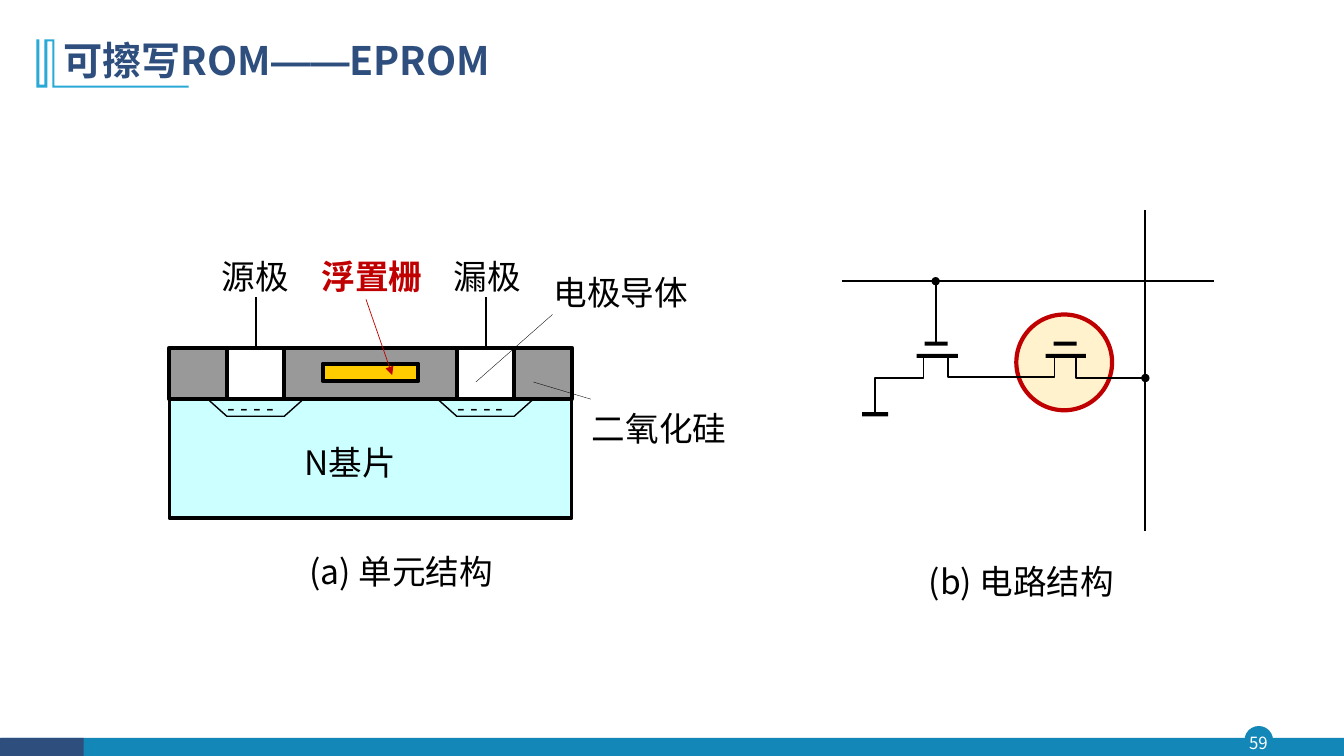
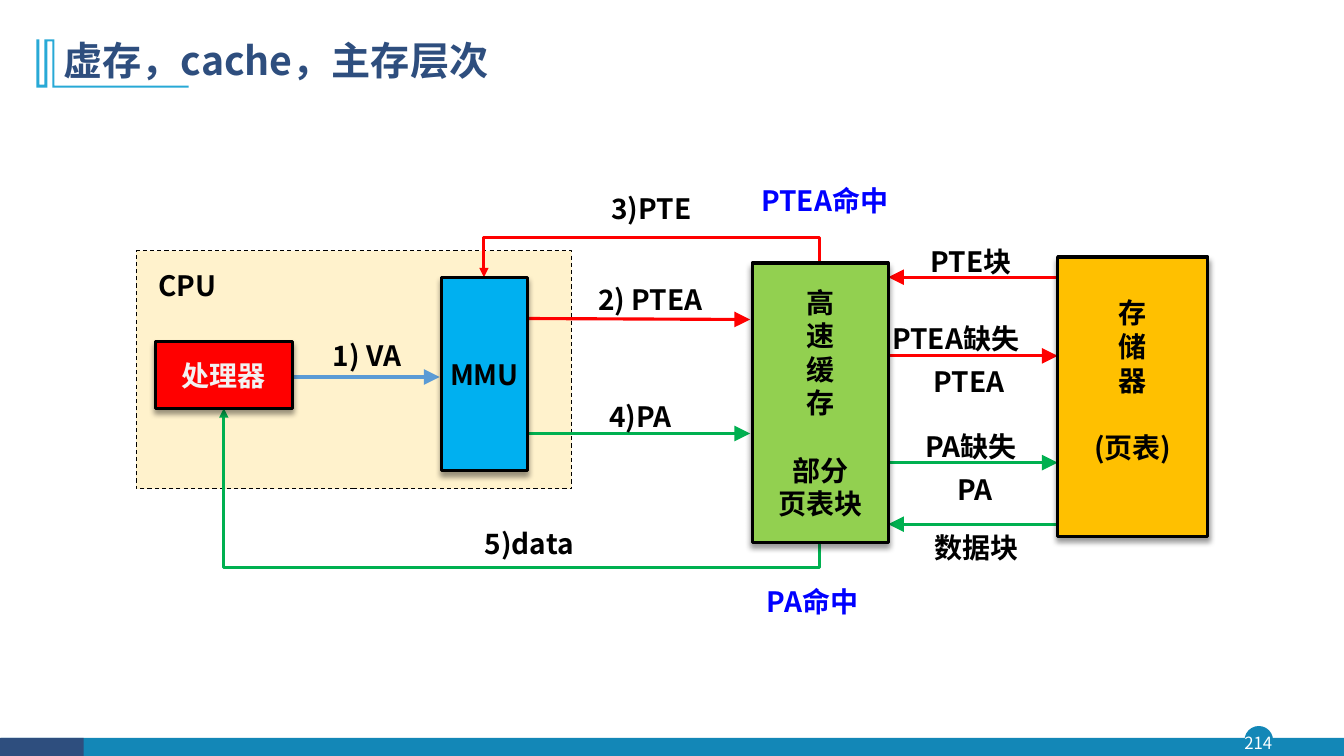
from dataclasses import dataclass

from lxml.etree import SubElement
from pptx import Presentation
from pptx.dml.color import RGBColor
from pptx.enum.dml import MSO_LINE
from pptx.enum.shapes import MSO_CONNECTOR, MSO_SHAPE
from pptx.enum.text import MSO_ANCHOR as Anchor, PP_ALIGN as Align
from pptx.oxml.ns import qn
from pptx.util import Emu, Pt

PX = 9144
SLIDE_SIZE = (1333, 750)


@dataclass(frozen=True)
class Theme:
    font: str = "Noto Sans CJK SC"
    dash_font: str = "Arial"
    navy: str = "2E4E7E"
    teal: str = "1387B7"
    sky: str = "28A9D6"
    black: str = "000000"
    white: str = "FFFFFF"
    pale: str = "F2F2F2"
    cream: str = "FFF2CC"
    crimson: str = "C00000"
    substrate: str = "CCFFFF"
    oxide: str = "999999"
    gold: str = "FFCC00"
    red: str = "FF0000"
    green: str = "00B050"
    blue: str = "5B9BD5"
    hit: str = "0000FF"
    memory: str = "FFC000"
    cache: str = "92D050"
    mmu: str = "00B0F0"
    title_size: int = 28
    figure_size: int = 24
    label_size: int = 20
    mark_size: int = 16
    number_size: int = 12


T = Theme()

TITLE_BOX = (53, 28, 1150, 68)
NUMBER_BOX = (1232, 721, 32, 31)
TITLE_MARK = [(54, 39), (54, 85), (187, 85), (187, 87), (52, 87), (52, 41), (47, 41),
              (47, 87), (36, 87), (36, 39), (39, 39), (39, 84), (44, 84), (44, 39)]

EPROM_TITLE = (("可擦写ROM", T.font), ("——", T.dash_font), ("EPROM", T.font))
OXIDE_BLOCKS = [(168, 57), (282, 171), (510, 57)]
ELECTRODE_OFFSETS = (0, 228)
WELL = [(206, 396), (225, 413), (282, 413), (301, 396)]
LEADERS = [((472, 379), (548, 312)), ((529, 379), (586, 396))]
CELL_LABELS = [
    ("N基片", (301, 429, 133, 50), {}),
    ("源极", (219, 245, 95, 50), {}),
    ("漏极", (449, 245, 95, 50), {}),
    ("浮置栅", (318, 245, 152, 50), {"color": T.crimson, "bold": True}),
    ("电极导体", (548, 261, 152, 50), {}),
    ("二氧化硅", (586, 396, 152, 50), {}),
    ("(a) 单元结构", (205, 538, 285, 51), {"align": Align.RIGHT}),
    ("(b) 电路结构", (821, 547, 285, 51), {"align": Align.RIGHT}),
]
CIRCUIT_WIRES = [
    ([(835, 279), (1204, 279)], None),
    ([(1136, 527), (1136, 208)], None),
    ([(1067, 353), (1067, 375), (1136, 375)], "oval"),
    ([(940, 355), (940, 374), (1046, 374), (1046, 353)], None),
    ([(916, 353), (916, 375), (868, 375), (868, 411)], None),
]
CIRCUIT_BARS = [(855, 409, 26), (909, 351, 41), (917, 339, 23), (1037, 351, 40), (1045, 339, 23)]

FLOW_TITLE = "虚存，cache，主存层次"
FLOW_ARROWS = [
    ([(813, 538), (813, 563), (222, 563), (222, 405)], T.green),
    ([(813, 261), (813, 236), (480, 236), (480, 275)], T.red),
    ([(288, 374), (436, 374)], T.blue),
    ([(507, 430), (744, 430)], T.green),
    ([(523, 316), (744, 317)], T.red),
    ([(1049, 275), (881, 275)], T.red),
    ([(880, 353), (1049, 353)], T.red),
    ([(881, 459), (1049, 459)], T.green),
    ([(1049, 520), (881, 520)], T.green),
]
LABEL_WIDTH, LABEL_HEIGHT = 180, 35
FLOW_LABELS = [
    ("PA命中", 806, 580, T.hit), ("PTEA命中", 818, 182, T.hit),
    ("CPU", 186, 266, T.black), ("1) VA", 364, 336, T.black),
    ("2) PTEA", 645, 280, T.black), ("3)PTE", 646, 190, T.black),
    ("4)PA", 635, 396, T.black), ("5)data", 525, 522, T.black),
    ("PTE块", 963, 243, T.black), ("PTEA缺失", 948, 319, T.black),
    ("PTEA", 961, 362, T.black), ("PA缺失", 963, 426, T.black),
    ("PA", 967, 469, T.black), ("数据块", 969, 526, T.black),
]
FLOW_BLOCKS = [
    ((1049, 255, 149, 277), T.memory, T.black, ["存", "储", "器", "(页表)"], {3: 24}, 33),
    ((746, 261, 135, 277), T.cache, T.black, ["高", "速", "缓", "存", "部分", "页表块"], {4: 24}, 0),
    ((154, 339, 136, 66), T.red, T.pale, ["处理器"], {}, 0),
    ((438, 275, 85, 192), T.mmu, T.black, ["MMU"], {}, 0),
]


def px(*values):
    return [Emu(round(value * PX)) for value in values]


def rgb(color):
    return RGBColor.from_string(color)


def write(frame, lines, *, size, color=T.black, bold=False, align=Align.LEFT, spacing=None,
          anchor=Anchor.TOP, inset=0, bottom=None, gaps=None, wrap=True):
    frame.word_wrap = wrap
    frame.vertical_anchor = anchor
    frame.margin_left, frame.margin_top, frame.margin_right = px(inset, inset, inset)
    frame.margin_bottom = px(inset if bottom is None else bottom)[0]
    for index, line in enumerate(lines):
        para = frame.add_paragraph() if index else frame.paragraphs[0]
        para.alignment = align
        para.space_before = Pt((gaps or {}).get(index, 0))
        if spacing:
            para.line_spacing = spacing
        for text, face in ([(line, T.font)] if isinstance(line, str) else line):
            span = para.add_run()
            span.text = text
            font = span.font
            font.size, font.bold, font.name = Pt(size), bold, face
            font.color.rgb = rgb(color)
            SubElement(font._rPr, qn("a:ea"), typeface=face)


def add_label(page, text, box, **style):
    write(page.shapes.add_textbox(*px(*box)).text_frame, [text], **style)


def set_line(shape, color, width, tail=None, tail_size="med", dash=None):
    line = shape.line
    if not color:
        line.fill.background()
        return
    line.color.rgb = rgb(color)
    line.width = Pt(width)
    if dash:
        line.dash_style = dash
    if tail:
        SubElement(line._get_or_add_ln(), qn("a:tailEnd"), type=tail, w=tail_size, len=tail_size)


def add_block(page, box, fill, line=None, width=1, kind=MSO_SHAPE.RECTANGLE, dash=None):
    shape = page.shapes.add_shape(kind, *px(*box))
    shape.shadow.inherit = False
    shape.fill.solid()
    shape.fill.fore_color.rgb = rgb(fill)
    set_line(shape, line, width, dash=dash)
    return shape


def add_outline(page, points, closed=False):
    builder = page.shapes.build_freeform(*points[0], scale=PX)
    builder.add_line_segments(points[1:], close=closed)
    shape = builder.convert_to_shape()
    shape.shadow.inherit = False
    shape.fill.background()
    return shape


def add_wire(page, points, color=T.black, width=1.25, **ending):
    if len(points) > 2:
        shape = add_outline(page, points)
        set_line(shape, color, width, **ending)
        return
    shape = page.shapes.add_connector(MSO_CONNECTOR.STRAIGHT, *px(*points[0], *points[1]))
    set_line(shape, color, width, **ending)
    SubElement(shape._element.spPr, qn("a:effectLst"))


def drop_shadow(shape):
    effects = shape._element.spPr.find(qn("a:effectLst"))
    shadow = SubElement(effects, qn("a:outerShdw"), blurRad=str(Pt(4)), dist=str(Pt(3)),
                        dir="5400000", algn="t", rotWithShape="0")
    SubElement(SubElement(shadow, qn("a:srgbClr"), val=T.black), qn("a:alpha"), val="40000")


def decorate_layout(deck, layout):
    page = deck.slides.add_slide(layout)
    mark = add_outline(page, TITLE_MARK, closed=True)
    mark.fill.solid()
    mark.fill.fore_color.rgb = rgb(T.sky)
    set_line(mark, None, 0)
    badge = add_block(page, (1235, 721, 27, 27), T.teal, T.teal, kind=MSO_SHAPE.OVAL)
    band = add_block(page, (1, 732, 1332, 19), T.teal)
    corner = add_block(page, (0, 732, 83, 19), T.navy)
    for shape in (badge, band, corner, mark):
        layout.shapes._spTree.append(shape._element)
    return page


def start_page(page, title, number):
    heading = page.shapes.title
    heading.left, heading.top, heading.width, heading.height = px(*TITLE_BOX)
    write(heading.text_frame, [title], size=T.title_size, color=T.navy, bold=True,
          spacing=0.9, anchor=Anchor.MIDDLE, inset=10, bottom=5)
    heading.text_frame.margin_top = px(5)[0]
    add_label(page, number, NUMBER_BOX, size=T.number_size, color=T.white,
              align=Align.CENTER, anchor=Anchor.MIDDLE, wrap=False)


def draw_cell(page):
    add_block(page, (168, 396, 399, 118), T.substrate, T.black, 2.5)
    for left, width in OXIDE_BLOCKS:
        add_block(page, (left, 345, width, 51), T.oxide, T.black, 3)
    for offset in ELECTRODE_OFFSETS:
        add_wire(page, [(225 + offset, 345), (288 + offset, 345)], width=3)
        add_wire(page, [(254 + offset, 295), (254 + offset, 346)], width=2)
        add_wire(page, [(x + offset, y) for x, y in WELL], width=1)
        add_label(page, "- - - -", (225 + offset, 385, 76, 34), size=T.mark_size,
                  spacing=1.2, inset=1)
    for points in LEADERS:
        add_wire(page, points, width=0.25)
    add_block(page, (320, 361, 95, 17), T.gold, T.black, 3)
    for text, box, style in CELL_LABELS:
        add_label(page, text, box, size=T.figure_size, spacing=1.2, inset=1, **style)
    add_wire(page, [(363, 297), (389, 372)], T.crimson, 0.5, tail="triangle")


def draw_circuit(page):
    add_block(page, (1008, 312, 95, 95), T.cream, T.crimson, 3, kind=MSO_SHAPE.OVAL)
    for points, tail in CIRCUIT_WIRES:
        add_wire(page, points, tail=tail)
    add_block(page, (912, 341, 34, 12), T.white)
    for left, top, width in CIRCUIT_BARS:
        add_block(page, (left, top, width, 4), T.black)
    add_wire(page, [(928, 341), (928, 279)], tail="oval")


def draw_flow(page):
    add_block(page, (135, 249, 432, 236), T.cream, T.black, 0.75, dash=MSO_LINE.DASH)
    for points, color in FLOW_ARROWS:
        add_wire(page, points, color, 2.25, tail="triangle",
                 tail_size="lg" if len(points) == 2 else "med")
    for text, center, top, color in FLOW_LABELS:
        add_label(page, text, (center - LABEL_WIDTH / 2, top, LABEL_WIDTH, LABEL_HEIGHT),
                  size=T.label_size, color=color, bold=True, align=Align.CENTER)
    for box, fill, color, lines, gaps, bottom in FLOW_BLOCKS:
        block = add_block(page, box, fill, T.black, 2.25)
        drop_shadow(block)
        write(block.text_frame, lines, size=T.label_size, color=color, bold=True,
              align=Align.CENTER, anchor=Anchor.MIDDLE, gaps=gaps, bottom=bottom)


def main():
    deck = Presentation()
    deck.slide_width, deck.slide_height = px(*SLIDE_SIZE)
    layout = deck.slide_layouts[5]
    eprom = decorate_layout(deck, layout)
    start_page(eprom, EPROM_TITLE, "59")
    draw_circuit(eprom)
    draw_cell(eprom)
    flow = deck.slides.add_slide(layout)
    start_page(flow, FLOW_TITLE, "214")
    draw_flow(flow)
    deck.save("out.pptx")


if __name__ == "__main__":
    main()
